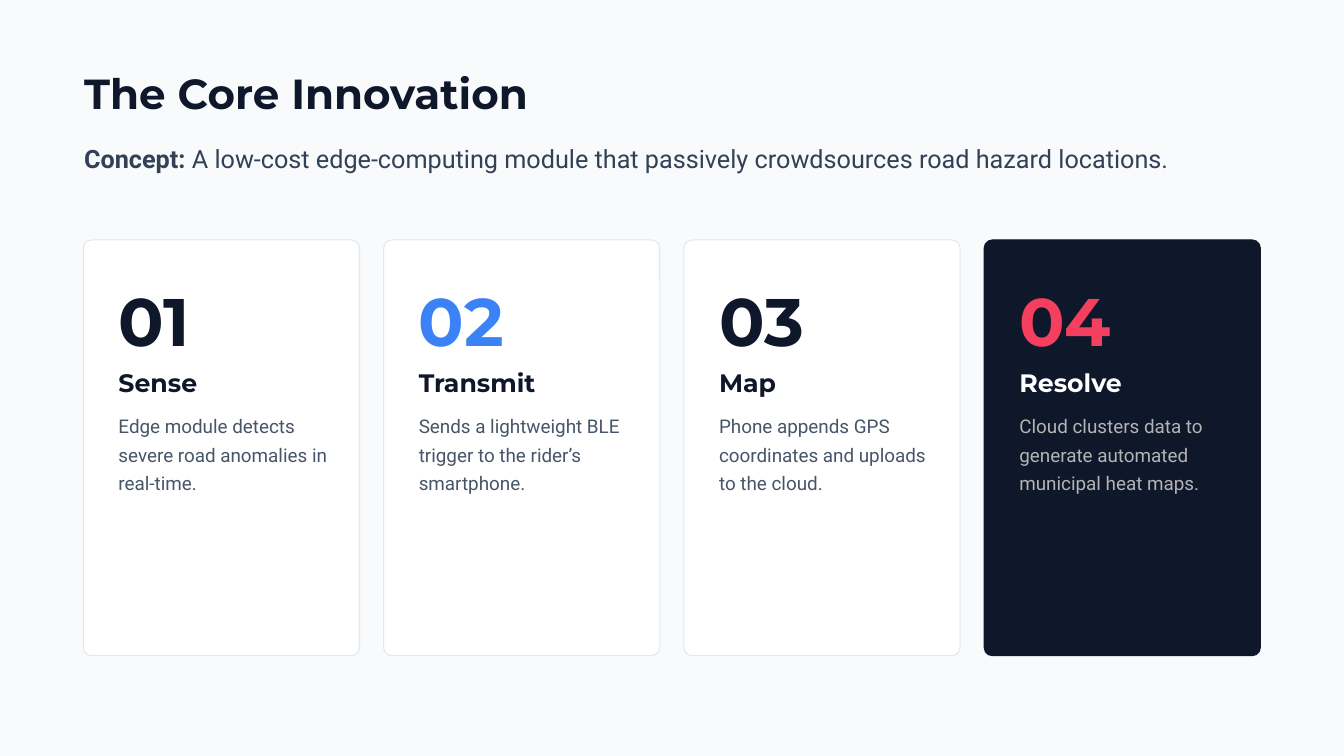
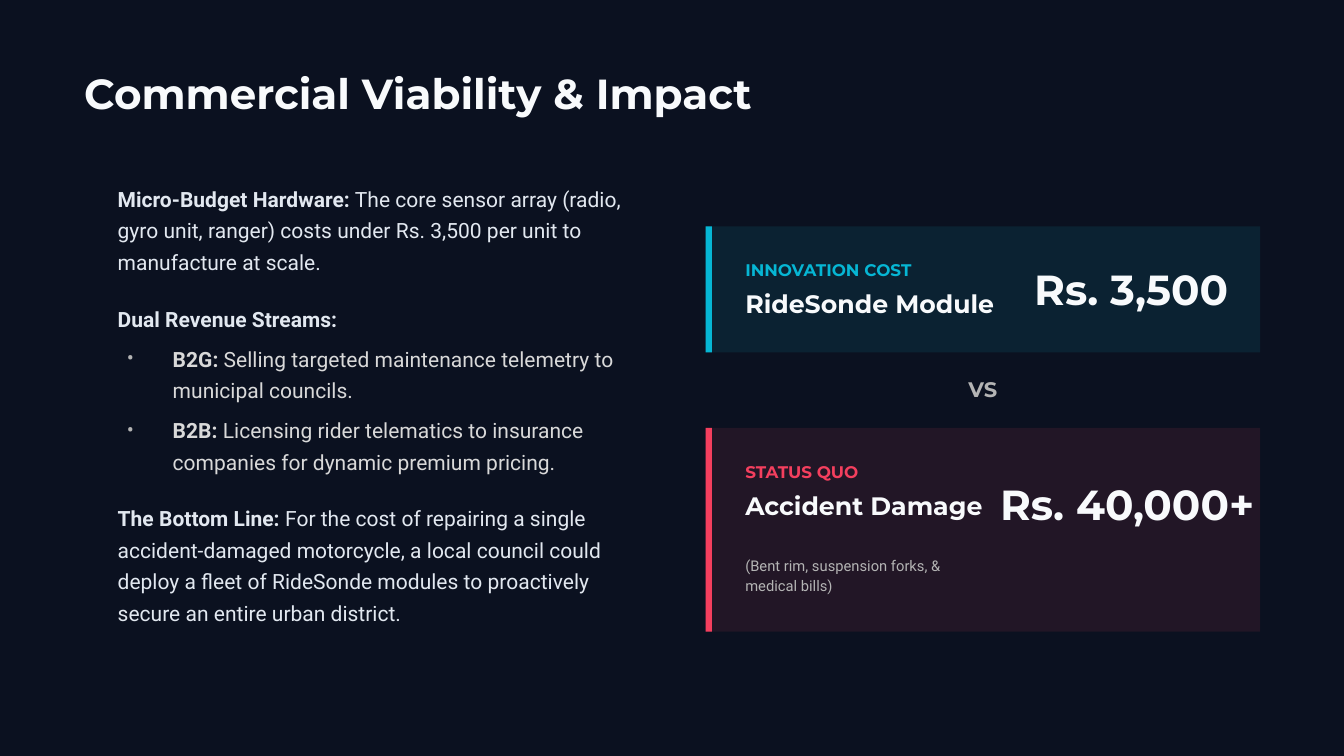
from dataclasses import dataclass
from typing import NamedTuple

from lxml.etree import SubElement
from pptx import Presentation
from pptx.dml.color import RGBColor
from pptx.enum.shapes import MSO_SHAPE
from pptx.enum.text import MSO_AUTO_SIZE, PP_ALIGN
from pptx.oxml.ns import qn
from pptx.util import Cm, Pt


class Style(NamedTuple):
    font: str
    size: float
    leading: float
    bold: bool = False


@dataclass(frozen=True)
class Theme:
    paper: str = "F8FAFC"
    night: str = "0B1120"
    navy: str = "0F172A"
    white: str = "FFFFFF"
    border: str = "E2E8F0"
    slate: str = "334155"
    muted: str = "475569"
    grey: str = "B4B4B4"
    silver: str = "D9D9D9"
    blue: str = "3B82F6"
    cyan: str = "06B6D4"
    rose: str = "F43F5E"
    cyan_tint: str = "0B2232"
    rose_tint: str = "221626"

    title: Style = Style("Montserrat", 45, 54, True)
    number: Style = Style("Montserrat", 72, 72, True)
    heading: Style = Style("Montserrat", 27, 32.4, True)
    label: Style = Style("Montserrat", 18, 21.6, True)
    versus: Style = Style("Montserrat", 22.5, 27, True)
    lead: Style = Style("Roboto", 27, 32.4)
    body: Style = Style("Roboto", 22.5, 33.8)
    card: Style = Style("Roboto", 20.2, 30.4)
    note: Style = Style("Roboto", 15.8, 22)


THEME = Theme()


class Box(NamedTuple):
    """A rectangle in centimetres."""
    left: float
    top: float
    width: float
    height: float

    def inner(self, left, top, width, height):
        """A box whose position is counted from this one's corner."""
        return Box(self.left + left, self.top + top, width, height)

    def lengths(self):
        return [Cm(value) for value in self]


class Para(NamedTuple):
    """A paragraph that opens with an optional bold phrase."""
    strong: str
    text: str
    color: str
    before: float = 0
    bullet: bool = False


class Step(NamedTuple):
    name: str
    text: str
    number_color: str = THEME.navy
    name_color: str = THEME.navy
    text_color: str = THEME.muted
    fill: str = THEME.white
    line: str = THEME.border


class Cost(NamedTuple):
    label: str
    name: str
    price: str
    accent: str
    fill: str
    price_at: tuple
    note: str = ""


def apply(target, values):
    for name, value in values.items():
        setattr(target, name, value)


def rgb(color):
    return RGBColor.from_string(color)


def add_page(deck, color):
    page = deck.slides.add_slide(deck.slide_layouts[6])
    page.background.fill.solid()
    page.background.fill.fore_color.rgb = rgb(color)
    return page


def add_panel(page, box, fill, kind=MSO_SHAPE.RECTANGLE, line=None):
    panel = page.shapes.add_shape(kind, *box.lengths())
    panel.shadow.inherit = False
    panel.fill.solid()
    panel.fill.fore_color.rgb = rgb(fill)
    if line:
        panel.line.color.rgb = rgb(line)
        panel.line.width = Pt(1.13)
    else:
        panel.line.fill.background()
    return panel


def add_bullet(para):
    properties = para._p.get_or_add_pPr()
    properties.set("marL", str(Cm(2.08)))
    properties.set("indent", str(-Cm(1.73)))
    color = SubElement(properties, qn("a:buClr"))
    SubElement(color, qn("a:srgbClr"), val=THEME.grey)
    SubElement(properties, qn("a:buFont"), typeface=THEME.body.font)
    SubElement(properties, qn("a:buChar"), char="•")


def add_paras(page, box, style, paras, align=PP_ALIGN.LEFT):
    frame = page.shapes.add_textbox(*box.lengths()).text_frame
    apply(frame, dict(margin_left=0, margin_top=0, margin_right=0, margin_bottom=0,
                      word_wrap=True, auto_size=MSO_AUTO_SIZE.SHAPE_TO_FIT_TEXT))
    for index, item in enumerate(paras):
        para = frame.add_paragraph() if index else frame.paragraphs[0]
        if item.bullet:
            add_bullet(para)
        apply(para, dict(alignment=align, line_spacing=Pt(style.leading),
                         space_before=Pt(item.before)))
        for text, bold in ((item.strong, True), (item.text, style.bold)):
            if text:
                span = para.add_run()
                span.text = text
                apply(span.font, dict(name=style.font, size=Pt(style.size), bold=bold))
                span.font.color.rgb = rgb(item.color)


def add_text(page, box, style, text, color, align=PP_ALIGN.LEFT):
    add_paras(page, box, style, [Para("", text, color)], align)


def add_title(page, text, color):
    add_text(page, Box(3.18, 2.54, 47.62, 1.96), THEME.title, text, color)


def add_step_card(page, box, number, step):
    card = add_panel(page, box, step.fill, MSO_SHAPE.ROUNDED_RECTANGLE, step.line)
    card.adjustments[0] = 0.03
    for top, width, height, style, text, color in (
        (2.01, 9.73, 2.16, THEME.number, f"{number:02}", step.number_color),
        (4.83, 10.21, 1.14, THEME.heading, step.name, step.name_color),
        (6.4, 8.18, 3.43, THEME.card, step.text, step.text_color),
    ):
        add_text(page, box.inner(1.33, top, width, height), style, text, color)


def add_step_row(page, box, steps, gap):
    width = (box.width - gap * (len(steps) - 1)) / len(steps)
    for index, step in enumerate(steps):
        card_box = box.inner(index * (width + gap), 0, width, box.height)
        add_step_card(page, card_box, index + 1, step)


def add_cost_panel(page, box, cost):
    add_panel(page, box, cost.fill)
    add_panel(page, box.inner(0, 0, 0.24, box.height), cost.accent)
    add_text(page, box.inner(1.5, 1.27, 11.4, 0.76), THEME.label, cost.label, cost.accent)
    add_text(page, box.inner(1.5, 2.34, 10.6, 1.14), THEME.heading, cost.name, THEME.paper)
    add_text(page, box.inner(*cost.price_at, 9.73, 1.96), THEME.title, cost.price, THEME.paper)
    if cost.note:
        add_text(page, box.inner(1.5, 4.75, 8.33, 1.68), THEME.note, cost.note, THEME.grey)


def add_comparison(page, box, innovation, status_quo):
    add_cost_panel(page, box.inner(0, 0, box.width, 4.76), innovation)
    add_text(page, box.inner(0, 5.69, box.width, 1), THEME.versus, "VS", THEME.grey,
             PP_ALIGN.CENTER)
    add_cost_panel(page, box.inner(0, 7.62, box.width, 7.7), status_quo)


def build_innovation(deck):
    page = add_page(deck, THEME.paper)
    add_title(page, "The Core Innovation", THEME.navy)
    concept = Para("Concept:", " A low-cost edge-computing module that passively "
                   "crowdsources road hazard locations.", THEME.slate)
    add_paras(page, Box(3.18, 5.41, 47.62, 1.14), THEME.lead, [concept])
    steps = [
        Step("Sense", "Edge module detects severe road anomalies in real-time."),
        Step("Transmit", "Sends a lightweight BLE trigger to the rider’s smartphone.",
             number_color=THEME.blue),
        Step("Map", "Phone appends GPS coordinates and uploads to the cloud."),
        Step("Resolve", "Cloud clusters data to generate automated municipal heat maps.",
             THEME.rose, THEME.white, THEME.grey, THEME.navy, THEME.navy),
    ]
    add_step_row(page, Box(3.15, 9.07, 44.49, 15.72), steps, gap=0.91)


def build_viability(deck):
    page = add_page(deck, THEME.night)
    add_title(page, "Commercial Viability & Impact", THEME.paper)
    arguments = [
        Para("Micro-Budget Hardware:", " The core sensor array (radio, gyro unit, ranger) "
             "costs under Rs. 3,500 per unit to manufacture at scale.", THEME.border),
        Para("Dual Revenue Streams:", "", THEME.border, 27),
        Para("B2G:", " Selling targeted maintenance telemetry to municipal councils.",
             THEME.silver, 9, True),
        Para("B2B:", " Licensing rider telematics to insurance companies for dynamic "
             "premium pricing.", THEME.silver, 9, True),
        Para("The Bottom Line:", " For the cost of repairing a single accident-damaged "
             "motorcycle, a local council could deploy a fleet of RideSonde modules to "
             "proactively secure an entire urban district.", THEME.border, 27),
    ]
    add_paras(page, Box(4.45, 6.81, 20.09, 17.04), THEME.body, arguments)
    add_comparison(
        page, Box(26.67, 8.56, 20.96, 15.32),
        Cost("INNOVATION COST", "RideSonde Module", "Rs. 3,500", THEME.cyan,
             THEME.cyan_tint, (12.42, 1.4)),
        Cost("STATUS QUO", "Accident Damage", "Rs. 40,000+", THEME.rose,
             THEME.rose_tint, (11.13, 1.9),
             "(Bent rim, suspension forks, & medical bills)"))


def main():
    deck = Presentation()
    apply(deck, dict(slide_width=Cm(50.8), slide_height=Cm(28.58)))
    build_innovation(deck)
    build_viability(deck)
    deck.save("out.pptx")


if __name__ == "__main__":
    main()
